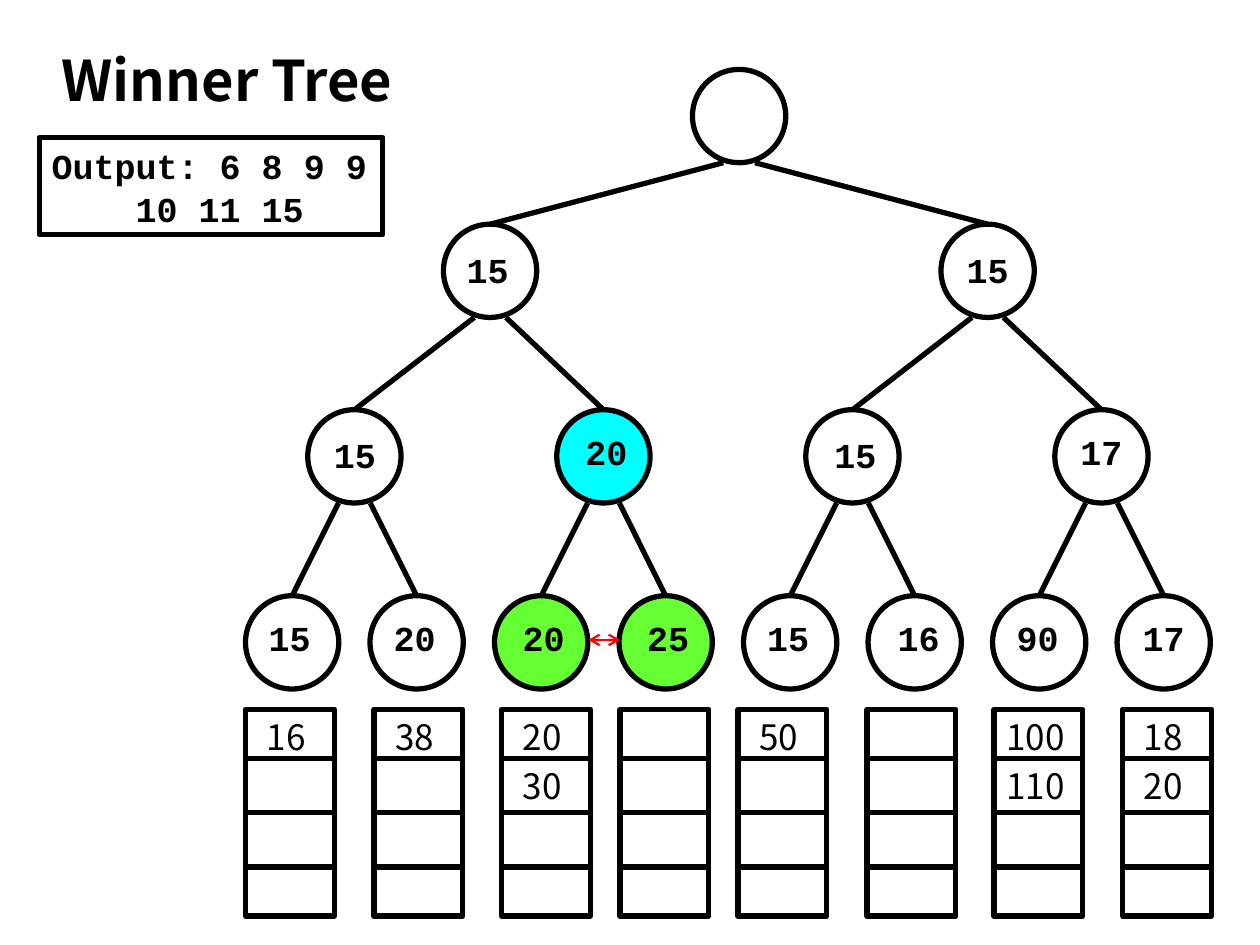
from lxml import etree
from pptx import Presentation
from pptx import util as u
from pptx.dml.color import RGBColor
from pptx.enum import shapes, text
from pptx.oxml.ns import qn

BLACK = RGBColor(0, 0, 0)
RED = RGBColor(255, 0, 0)
GREEN = RGBColor(0x66, 0xFF, 0x33)
CYAN = RGBColor(0, 255, 255)

MONO = {"name": "Courier New", "size": u.Pt(20), "bold": True}
SANS = {"name": "Noto Sans CJK KR", "size": u.Pt(20), "bold": False}
TITLE = {"name": "Noto Sans CJK KR", "size": u.Pt(32), "bold": True}
MONO_LEADING = u.Pt(24.5)

NODE = 1.88
FORK = 0.32
LEVEL_TOPS = [1.4, 4.52, 8.26, 12.01]
LEAF_XS = [5.89 + 2.51 * i for i in range(8)]
PAIR_XS = [(a + b) / 2 for a, b in zip(LEAF_XS[::2], LEAF_XS[1::2])]
LEVEL_XS = [[14.9], [9.88, 19.91], PAIR_XS, LEAF_XS]

LABELS = [
    [],
    [("15", -0.05, 0.34), ("15", 0, 0.34)],
    [("15", 0.01, 0.34), ("20", 0.06, 0.28), ("15", 0.06, 0.34), ("17", 0, 0.28)],
    [("15", -0.05, 0.28), ("20", -0.04, 0.28), ("20", 0.05, 0.28), ("25", 0.05, 0.28),
     ("15", -0.04, 0.28), ("16", 0.08, 0.28), ("90", -0.03, 0.28), ("17", 0, 0.28)],
]
FILLS = {(2, 1): CYAN, (3, 2): GREEN, (3, 3): GREEN}

RUN_TOP, RUN_W, RUN_H = 14.3, 1.79, 4.17
RUN_ROWS = [15.29, 16.38, 17.48]
RUNS = [(4.95, ["16"]), (7.54, ["38"]), (10.11, ["20", "30"]), (12.5, []),
        (14.88, ["50"]), (17.48, []), (20.04, ["100", "110"]), (22.63, ["18", "20"])]


def write(p, words, fmt):
    r = p.add_run()
    r.text = words
    for key, value in fmt.items():
        setattr(r.font, key, value)
    r.font.color.rgb = BLACK


def add_label(s, x, y, w, h, words, fmt, align=text.PP_ALIGN.LEFT, leading=None):
    tf = s.shapes.add_textbox(u.Cm(x), u.Cm(y), u.Cm(w), u.Cm(h)).text_frame
    tf.word_wrap = True
    p = tf.paragraphs[0]
    p.alignment = align
    p.line_spacing = leading
    write(p, words, fmt)


def add_outline(s, kind, x, y, w, h, fill=None):
    sp = s.shapes.add_shape(kind, u.Cm(x), u.Cm(y), u.Cm(w), u.Cm(h))
    sp.shadow.inherit = False
    if fill is None:
        sp.fill.background()
    else:
        sp.fill.solid()
        sp.fill.fore_color.rgb = fill
    sp.line.color.rgb = BLACK
    sp.line.width = u.Pt(3)
    return sp


def add_line(s, x1, y1, x2, y2, color=BLACK, width=3, arrows=False):
    c = s.shapes.add_connector(shapes.MSO_CONNECTOR.STRAIGHT,
                               u.Cm(x1), u.Cm(y1), u.Cm(x2), u.Cm(y2))
    c.line.color.rgb = color
    c.line.width = u.Pt(width)
    if arrows:
        ln = c.line._get_or_add_ln()
        for tag in ("a:headEnd", "a:tailEnd"):
            etree.SubElement(ln, qn(tag), type="arrow")
    etree.SubElement(c._element.spPr, qn("a:effectLst"))


def add_nodes(s):
    for level, (xs, top) in enumerate(zip(LEVEL_XS, LEVEL_TOPS)):
        for i, x in enumerate(xs):
            add_outline(s, shapes.MSO_SHAPE.OVAL, x - NODE / 2, top, NODE, NODE,
                        FILLS.get((level, i)))
        for x, (words, dx, dy) in zip(xs, LABELS[level]):
            add_label(s, x + dx - 0.85, top + dy, 1.7, 1.12, words, MONO,
                      text.PP_ALIGN.CENTER, MONO_LEADING)


def add_edges(s):
    for level in range(1, len(LEVEL_XS)):
        parents = LEVEL_XS[level - 1]
        bottom = LEVEL_TOPS[level - 1] + NODE
        for i, x in enumerate(LEVEL_XS[level]):
            side = FORK if i % 2 else -FORK
            add_line(s, x, LEVEL_TOPS[level], parents[i // 2] + side, bottom)


def add_run_column(s, x, values):
    add_outline(s, shapes.MSO_SHAPE.RECTANGLE, x, RUN_TOP, RUN_W, RUN_H)
    for y in RUN_ROWS:
        add_line(s, x, y, x + RUN_W, y)
    for y, value in zip([RUN_TOP] + RUN_ROWS, values):
        inset = 0 if len(value) > 2 else 0.18
        add_label(s, x + inset, y, RUN_W + 0.02 - 2 * inset, 1.12, value, SANS)


def add_output(s):
    sp = add_outline(s, shapes.MSO_SHAPE.RECTANGLE, 0.79, 2.77, 6.93, 1.96)
    tf = sp.text_frame
    tf.word_wrap = True
    tf.vertical_anchor = text.MSO_ANCHOR.TOP
    first, second = tf.paragraphs[0], tf.add_paragraph()
    second._p.get_or_add_pPr().set("marL", str(u.Pt(48)))
    for p, words in ((first, "Output: 6 8 9 9"), (second, "10 11 15")):
        p.alignment = text.PP_ALIGN.LEFT
        p.line_spacing = MONO_LEADING
        write(p, words, MONO)


def main():
    prs = Presentation()
    prs.slide_width, prs.slide_height = u.Cm(25.4), u.Cm(19.05)
    s = prs.slides.add_slide(prs.slide_layouts[6])
    add_nodes(s)
    add_edges(s)
    for x, values in RUNS:
        add_run_column(s, x, values)
    add_label(s, 0.99, 0.79, 8.53, 1.63, "Winner Tree", TITLE)
    add_output(s)
    add_line(s, 11.86, 12.9, 12.5, 12.9, RED, 1.25, True)
    prs.save("out.pptx")


if __name__ == "__main__":
    main()
